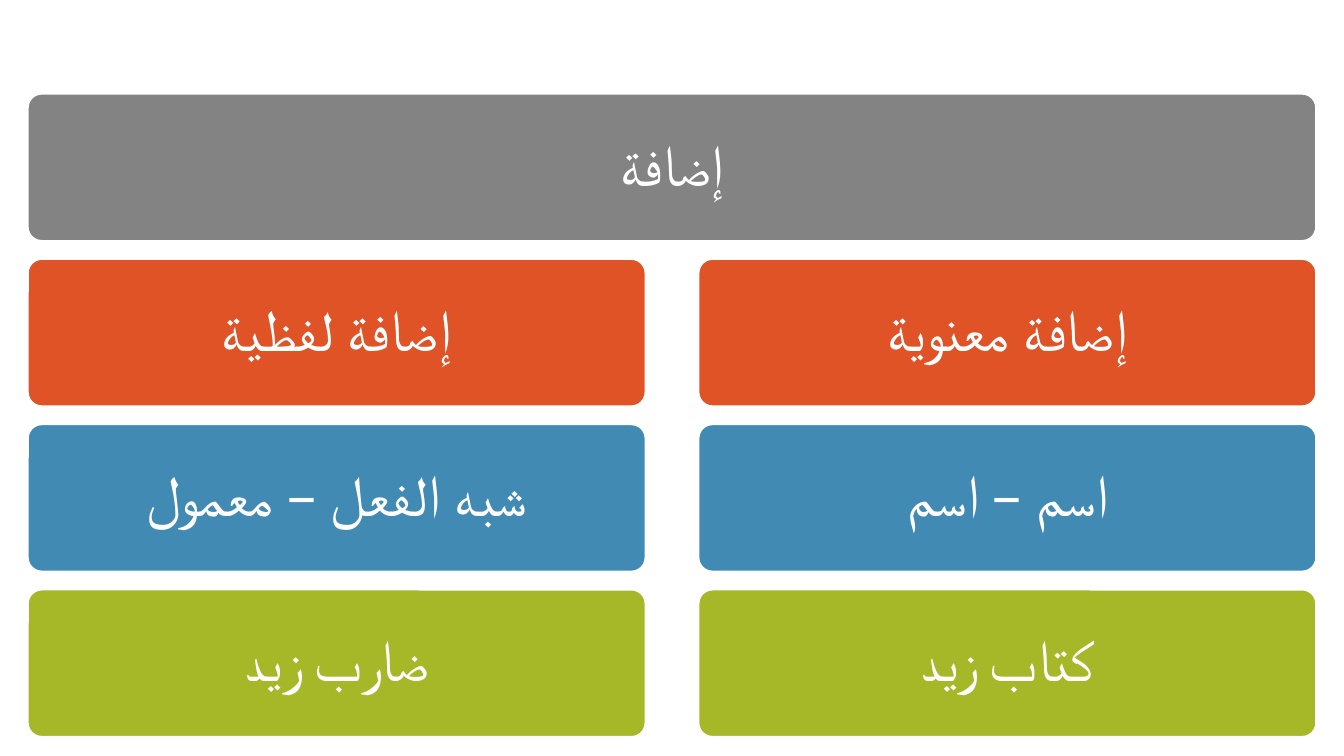
from pptx import Presentation
from pptx.dml.color import RGBColor
from pptx.enum.shapes import MSO_SHAPE
from pptx.enum.text import MSO_ANCHOR, PP_ALIGN
from pptx.util import Inches, Pt

WHITE = RGBColor(0xFF, 0xFF, 0xFF)
GREY = RGBColor(0x83, 0x83, 0x83)
ORANGE = RGBColor(0xDF, 0x53, 0x27)
BLUE = RGBColor(0x41, 0x8A, 0xB3)
GREEN = RGBColor(0xA6, 0xB7, 0x27)

FONT = "Calibri"
BOX_HEIGHT = 1.11
ROW_STEP = 1.23
COLUMN_GAP = 0.38

# Each row lists its boxes from left to right.
ROWS = [
    (GREY, ["إضافة"]),
    (ORANGE, ["إضافة لفظية", "إضافة معنوية"]),
    (BLUE, ["شبه الفعل – معمول", "اسم – اسم"]),
    (GREEN, ["ضارب زيد", "كتاب زيد"]),
]


def add_box(slide, left, top, width, height, text, color):
    shape = slide.shapes.add_shape(
        MSO_SHAPE.ROUNDED_RECTANGLE,
        Inches(left), Inches(top), Inches(width), Inches(height),
    )
    shape.adjustments[0] = 0.1
    shape.shadow.inherit = False
    shape.fill.solid()
    shape.fill.fore_color.rgb = color
    shape.line.color.rgb = WHITE
    shape.line.width = Pt(2)

    frame = shape.text_frame
    frame.word_wrap = True
    frame.vertical_anchor = MSO_ANCHOR.MIDDLE
    frame.margin_left = frame.margin_right = Inches(0.13)
    frame.margin_top = frame.margin_bottom = Inches(0.13)

    paragraph = frame.paragraphs[0]
    paragraph.alignment = PP_ALIGN.CENTER
    paragraph.line_spacing = 0.9
    paragraph.space_after = Pt(11)
    run = paragraph.add_run()
    run.text = text
    run.font.name = FONT
    run.font.size = Pt(31)
    run.font.color.rgb = WHITE


def add_hierarchy(slide, left, top, width):
    """Stack the rows, sharing the width equally between the boxes of each."""
    for row, (color, texts) in enumerate(ROWS):
        count = len(texts)
        box_width = (width - COLUMN_GAP * (count - 1)) / count
        for column, text in enumerate(texts):
            add_box(
                slide,
                left + column * (box_width + COLUMN_GAP),
                top + row * ROW_STEP,
                box_width, BOX_HEIGHT, text, color,
            )


def main():
    presentation = Presentation()
    presentation.slide_width = Inches(10)
    presentation.slide_height = Inches(10 * 9 / 16)
    slide = presentation.slides.add_slide(presentation.slide_layouts[6])
    add_hierarchy(slide, left=0.2, top=0.69, width=9.6)
    presentation.save("out.pptx")


if __name__ == "__main__":
    main()
